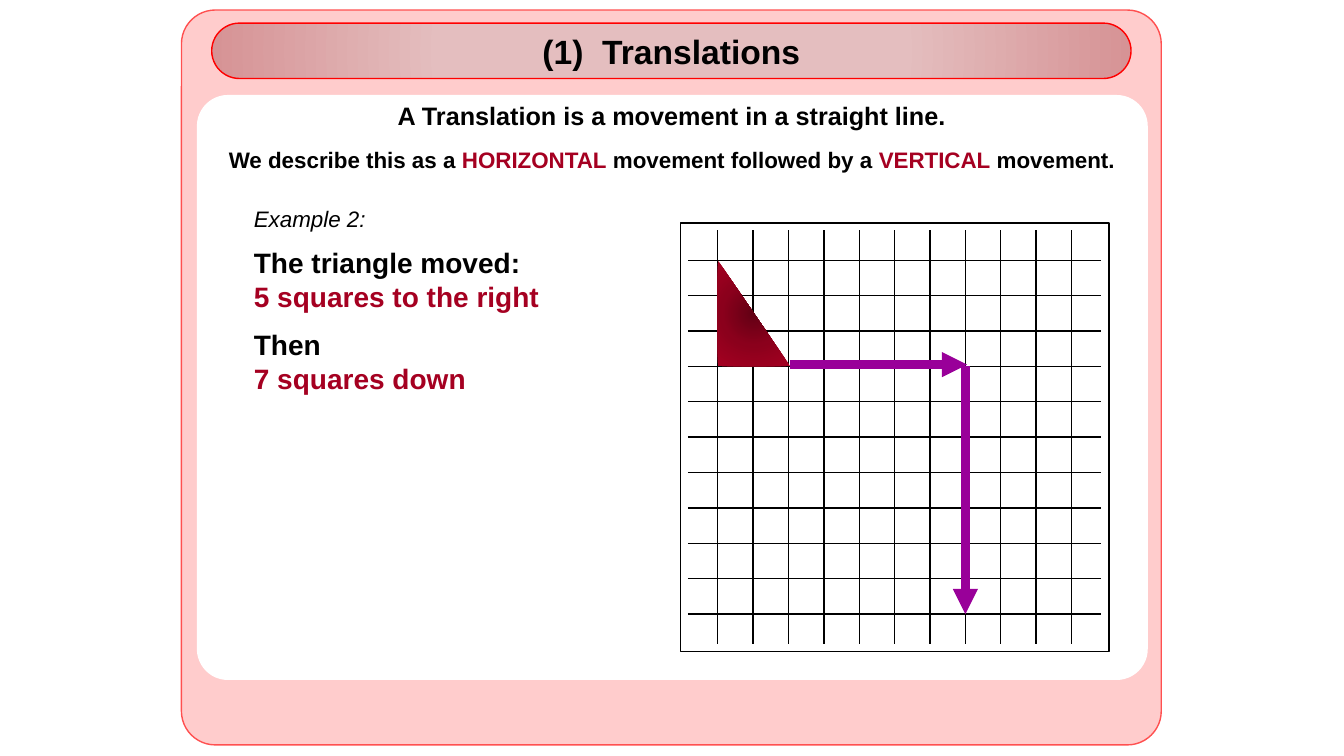
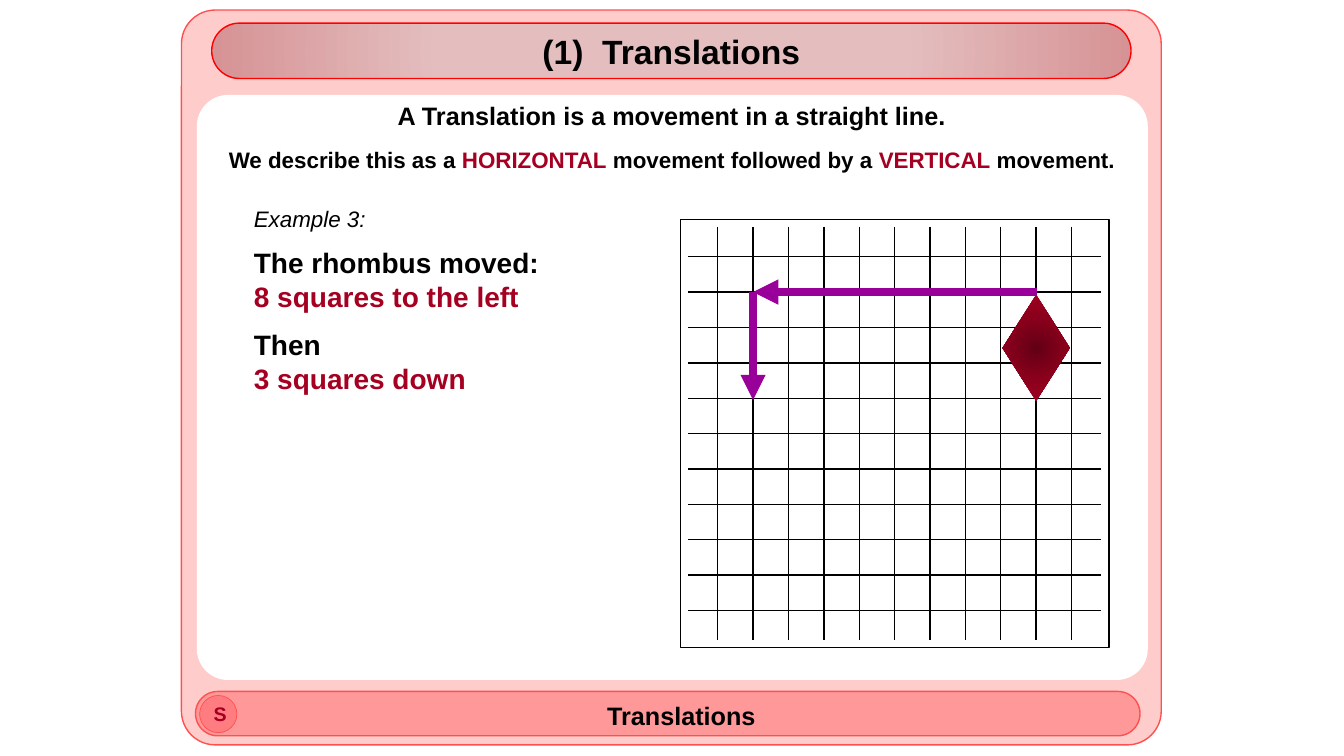
from dataclasses import dataclass

from lxml import etree
from pptx import Presentation
from pptx.dml.color import RGBColor
from pptx.enum.shapes import MSO_CONNECTOR as CONN, MSO_SHAPE as SHAPE
from pptx.enum.text import MSO_ANCHOR as ANCHOR, PP_ALIGN as ALIGN
from pptx.oxml.ns import qn
from pptx.util import Inches, Pt

FONT = "Arial"
BLACK, WHITE, RED = "000000", "FFFFFF", "A50021"
ROSE, ROSE_LINE, ARROW = "FFCCCC", "FF5050", "990099"
TITLE_GRADIENT = [(50, "E4BEBF"), (100, "D69395")]
FIGURE_GRADIENT = [(0, "620014"), (50, "8B001C"), (100, RED)]

# Grid paper, as shares of its side
PITCH, MARGIN, LINE_INSET, LINES = 0.0826, 0.087, 0.0175, 11


@dataclass
class Box:
    x: float
    y: float
    w: float
    h: float

    def inner(self, x, y, w, h):
        """Return an inner box given in percent of this one."""
        return Box(self.x + self.w * x / 100, self.y + self.h * y / 100,
                   self.w * w / 100, self.h * h / 100)

    def lengths(self):
        return [Inches(v) for v in (self.x, self.y, self.w, self.h)]


def color(value):
    return RGBColor.from_string(value)


def radial_fill(sp, stops):
    """Fill a shape with a gradient running from its centre outwards."""
    sp.fill.gradient()
    grad = sp._element.spPr.find(qn("a:gradFill"))
    grad.clear()
    stop_list = etree.SubElement(grad, qn("a:gsLst"))
    for position, value in stops:
        stop = etree.SubElement(stop_list, qn("a:gs"), pos=str(position * 1000))
        etree.SubElement(stop, qn("a:srgbClr"), val=value)
    circle = etree.SubElement(grad, qn("a:path"), {"path": "circle"})
    etree.SubElement(circle, qn("a:fillToRect"),
                     dict.fromkeys("ltrb", "50000"))


def add_shape(s, kind, box, fill, line=None, width=1, radius=None):
    sp = s.shapes.add_shape(kind, *box.lengths())
    sp.shadow.inherit = False
    if radius is not None:
        sp.adjustments[0] = radius
    if isinstance(fill, list):
        radial_fill(sp, fill)
    else:
        sp.fill.solid()
        sp.fill.fore_color.rgb = color(fill)
    if line:
        sp.line.color.rgb = color(line)
        sp.line.width = Pt(width)
    else:
        sp.line.fill.background()
    return sp


def add_line(s, start, end, value=BLACK, width=1, arrow=False):
    c = s.shapes.add_connector(CONN.STRAIGHT,
                               *[Inches(v) for v in (*start, *end)])
    c.line.color.rgb = color(value)
    c.line.width = Pt(width)
    if arrow:
        etree.SubElement(c._element.spPr.find(qn("a:ln")), qn("a:tailEnd"),
                         {"type": "triangle"})
    etree.SubElement(c._element.spPr, qn("a:effectLst"))


def style(font, size, value=BLACK, bold=True, italic=False):
    font.name, font.size = FONT, Pt(size)
    font.bold, font.italic = bold, italic
    font.color.rgb = color(value)


def label(sp, text, size, value=BLACK):
    """Write one centred line inside a shape."""
    tf = sp.text_frame
    tf.margin_left = tf.margin_right = tf.margin_top = tf.margin_bottom = 0
    tf.vertical_anchor = ANCHOR.MIDDLE
    tf.word_wrap = False
    tf.text = text
    p = tf.paragraphs[0]
    p.alignment = ALIGN.CENTER
    style(p.runs[0].font, size, value)
    return tf


def add_text(s, box, paragraphs, align=ALIGN.LEFT):
    """Each paragraph is (runs, size, space before, italic)."""
    tf = s.shapes.add_textbox(*box.lengths()).text_frame
    tf.word_wrap = True
    for i, (runs, size, before, italic) in enumerate(paragraphs):
        p = tf.add_paragraph() if i else tf.paragraphs[0]
        p.alignment = align
        if before:
            p.space_before = Pt(before)
        for text, value in runs:
            r = p.add_run()
            r.text = text
            style(r.font, size, value, not italic, italic)


def title_band(s, box):
    sp = add_shape(s, SHAPE.ROUNDED_RECTANGLE, box, TITLE_GRADIENT,
                   "FF0000", radius=0.5)
    label(sp, "(1)  Translations", 24)


def footer(s, box):
    bar = add_shape(s, SHAPE.ROUNDED_RECTANGLE, box, "FF9999", ROSE_LINE,
                    radius=0.5)
    tf = label(bar, "Translations", 18)
    tf.margin_left, tf.margin_top = Inches(0.27), Inches(0.04)
    badge = add_shape(s, SHAPE.OVAL, box.inner(0.43, 9, 3.95, 84), "FF7C80",
                      ROSE_LINE, 0.5)
    label(badge, "S", 14, RED).margin_left = Inches(0.04)


def definition(s, box):
    describe = [("We describe this as a ", BLACK), ("HORIZONTAL", RED),
                (" movement followed by a ", BLACK), ("VERTICAL", RED),
                (" movement.", BLACK)]
    first = [("A Translation is a movement in a straight line.", BLACK)]
    add_text(s, box, [(first, 18, 0, False), (describe, 16, 11, False)],
             ALIGN.CENTER)


def moves(s, box, number, figure, across, down):
    add_text(s, box, [
        ([(f"Example {number}:", BLACK)], 16, 0, True),
        ([(f"The {figure} moved:", BLACK)], 20, 9.5, False),
        ([(across, RED)], 20, 0, False),
        ([("Then", BLACK)], 20, 10.5, False),
        ([(down, RED)], 20, 0, False)])


def grid_paper(s, box, kind, cells, arrows):
    """Draw squared paper; cells and arrows count in squares."""
    def node(col, row):
        return (box.x + box.w * (MARGIN + PITCH * col),
                box.y + box.h * (MARGIN + PITCH * row))

    add_shape(s, SHAPE.RECTANGLE, box, WHITE, BLACK)
    left, right = (box.x + box.w * k for k in (LINE_INSET, 1 - LINE_INSET))
    top, bottom = (box.y + box.h * k for k in (LINE_INSET, 1 - LINE_INSET))
    for i in range(LINES):
        x, y = node(i, i)
        add_line(s, (left, y), (right, y))
        add_line(s, (x, top), (x, bottom))

    # Moved figure and its route
    col, row, cols, rows = cells
    square = box.w * PITCH
    add_shape(s, kind, Box(*node(col, row), cols * square, rows * square),
              FIGURE_GRADIENT)
    for start, end in arrows:
        add_line(s, node(*start), node(*end), ARROW, 6, True)


def example_slide(prs, text, paper_top, paper, with_footer=False):
    s = prs.slides.add_slide(prs.slide_layouts[6])
    page = Box(0, 0, prs.slide_width.inches, prs.slide_height.inches)
    # Frame and white panel
    frame = page.inner(13.5, 1.33, 72.9, 97.2)
    panel = frame.inner(1.65, 11.66, 96.91, 79.42)
    add_shape(s, SHAPE.ROUNDED_RECTANGLE, frame, ROSE, ROSE_LINE, radius=0.046)
    add_shape(s, SHAPE.ROUNDED_RECTANGLE, panel, WHITE, WHITE, radius=0.052)
    title_band(s, frame.inner(3.09, 1.78, 93.83, 7.54))
    if with_footer:
        footer(s, frame.inner(1.44, 92.73, 96.4, 6.04))
    # Panel content
    definition(s, panel.inner(0.42, 0, 99.04, 14))
    moves(s, panel.inner(4.88, 17.96, 37.47, 33.68), *text)
    grid_paper(s, panel.inner(50.85, paper_top, 45.12, 73.4), *paper)


def main():
    prs = Presentation()
    prs.slide_width, prs.slide_height = Inches(13.33), Inches(7.5)
    example_slide(
        prs, (2, "triangle", "5 squares to the right", "7 squares down"), 21.8,
        (SHAPE.RIGHT_TRIANGLE, (0, 0, 2.05, 3),
         [((2.05, 2.95), (7.05, 2.95)), ((7, 3), (7, 10))]))
    example_slide(
        prs, (3, "rhombus", "8 squares to the left", "3 squares down"), 21.2,
        (SHAPE.DIAMOND, (8.05, 1.08, 1.9, 3),
         [((9.03, 1), (1, 1)), ((1, 1), (1, 4.05))]), with_footer=True)
    prs.save("out.pptx")


if __name__ == "__main__":
    main()
